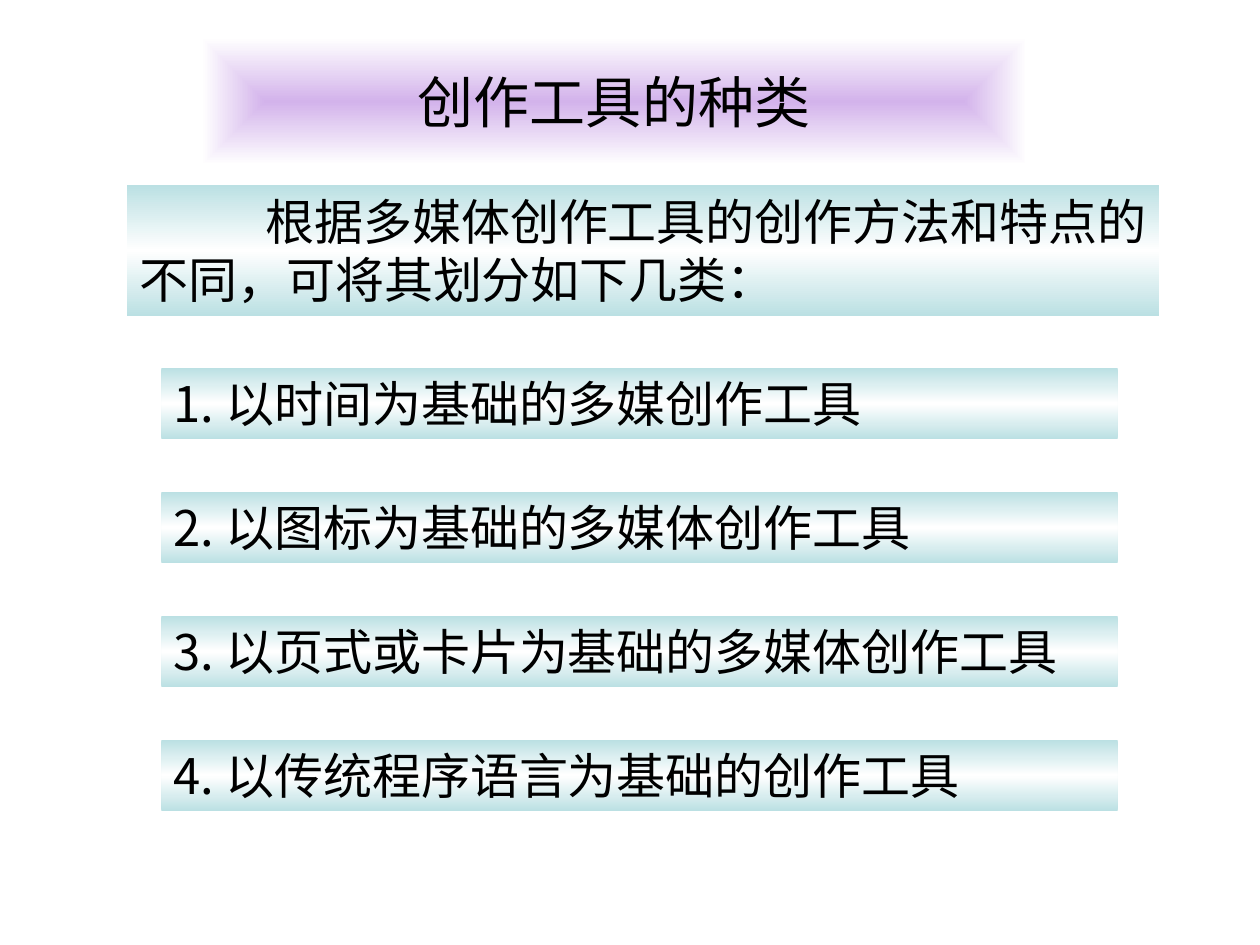
from lxml.etree import SubElement
from pptx import Presentation
from pptx.dml.color import RGBColor as RGB
from pptx.enum.text import MSO_ANCHOR as Anchor, PP_ALIGN as Align
from pptx.oxml.ns import qn
from pptx.util import Pt

# Content
TITLE = "创作工具的种类"
INTRO = ["根据多媒体创作工具的创作方法和特点的", "不同，可将其划分如下几类："]
KINDS = [
    "以时间为基础的多媒创作工具",
    "以图标为基础的多媒体创作工具",
    "以页式或卡片为基础的多媒体创作工具",
    "以传统程序语言为基础的创作工具",
]
COLORS = {"text": "000000", "lilac": "D3B3EB", "teal": "BBE0E3", "white": "FFFFFF"}

# Layout in points: left, top, width, height
TITLE_BOX = (115.2, 21.6, 471.6, 72.72)
INTRO_BOX = (72.6, 105.7, 589.7, 74.9)
KIND_BOX = (92.2, 210.1, 546.5, 41)
KIND_PITCH = 70.85
INTRO_INDENT = 72


def place(shape, box):
    shape.left, shape.top, shape.width, shape.height = map(Pt, box)


def fill_gradient(shape, color_names, from_center=False):
    """Spread the colours evenly, downwards or outwards from the centre."""
    shape.fill.gradient()
    grad = shape._element.spPr.find(qn("a:gradFill"))
    for child in list(grad):
        grad.remove(child)
    stops = SubElement(grad, qn("a:gsLst"))
    for i, name in enumerate(color_names):
        position = 100000 * i // (len(color_names) - 1)
        stop = SubElement(stops, qn("a:gs"), pos=str(position))
        SubElement(stop, qn("a:srgbClr"), val=COLORS[name])
    if from_center:
        route = SubElement(grad, qn("a:path"), path="rect")
        SubElement(route, qn("a:fillToRect"), l="50000", t="50000", r="50000", b="50000")
    else:
        SubElement(grad, qn("a:lin"), ang="5400000", scaled="1")


def format_text(paragraph, size, font_name):
    font = paragraph.font
    font.size, font.name = Pt(size), font_name
    font.color.rgb = RGB.from_string(COLORS["text"])


def add_band(slide, box, lines):
    band = slide.shapes.add_textbox(*map(Pt, box))
    fill_gradient(band, ["teal", "white", "teal"])
    frame = band.text_frame
    frame.word_wrap = True
    frame.margin_right = 0
    frame.text = "\n".join(lines)
    for paragraph in frame.paragraphs:
        format_text(paragraph, 28, "Noto Sans CJK SC")
    return frame


def main():
    deck = Presentation()
    deck.slide_width, deck.slide_height = Pt(720), Pt(540)
    slide = deck.slides.add_slide(deck.slide_layouts[5])

    # Title
    title = slide.shapes.title
    place(title, TITLE_BOX)
    fill_gradient(title, ["lilac", "white"], from_center=True)
    title.text_frame.text = TITLE
    title.text_frame.vertical_anchor = Anchor.MIDDLE
    heading = title.text_frame.paragraphs[0]
    heading.alignment = Align.CENTER
    format_text(heading, 32, "Arial")

    # Introduction, with its first line indented
    intro = add_band(slide, INTRO_BOX, INTRO)
    first_line = intro.paragraphs[0]._p.get_or_add_pPr()
    first_line.set("indent", str(Pt(INTRO_INDENT)))

    # Numbered kinds of tool
    left, top, width, height = KIND_BOX
    for i, kind in enumerate(KINDS):
        add_band(slide, (left, top + i * KIND_PITCH, width, height), [f"{i + 1}. {kind}"])

    deck.save("out.pptx")


if __name__ == "__main__":
    main()
